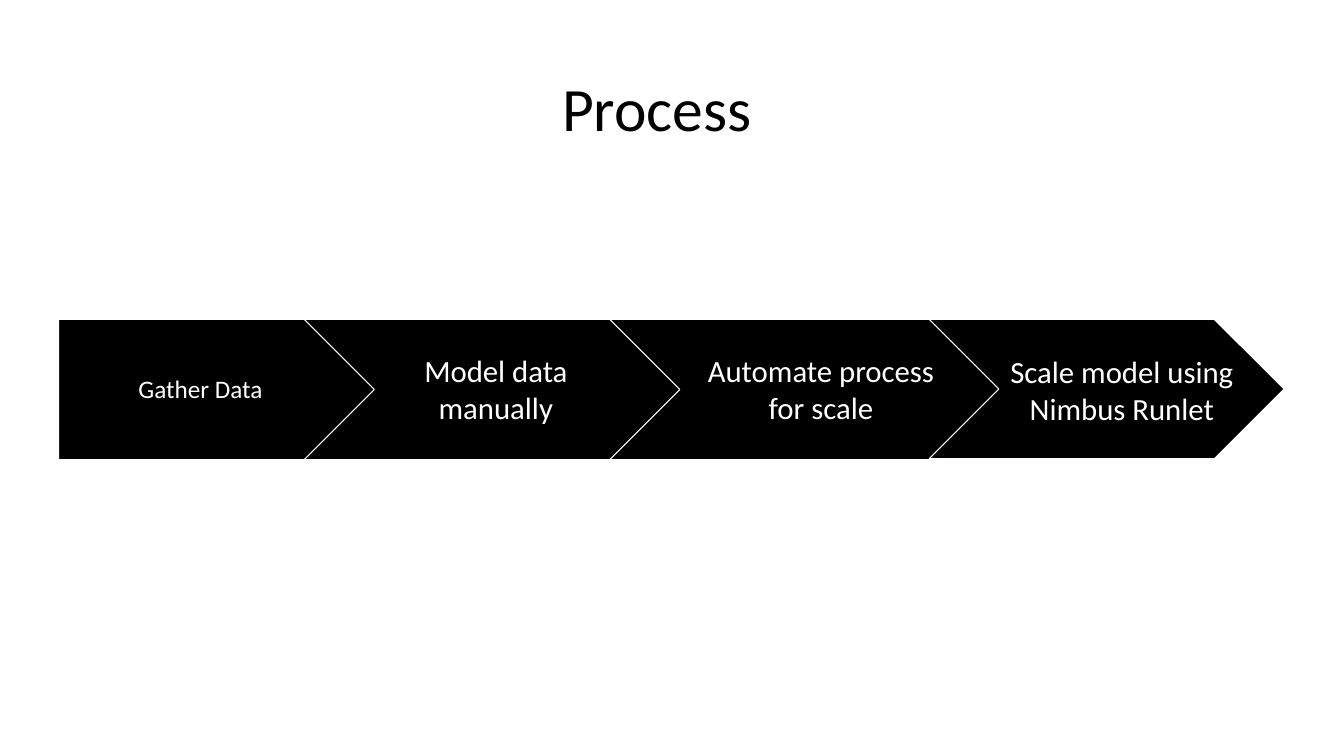
from pptx import Presentation
from pptx.dml.color import RGBColor
from pptx.enum import shapes, text
from pptx.util import Pt

FONT = "Calibri"
BLACK, WHITE = "000000", "FFFFFF"
TOP = 228.2
PLATE, CHEVRON = shapes.MSO_SHAPE.PENTAGON, shapes.MSO_SHAPE.CHEVRON

# Arrow kind, left, width, height
ARROWS = [
    (PLATE, 41.8, 233.3, 100.1),
    (CHEVRON, 217.4, 269.3, 100.1),
    (CHEVRON, 435.6, 283.7, 100.1),
    (CHEVRON, 663.8, 253.4, 99.4),
]

# Words, box (left, top, width, height), size, side and top insets
LABELS = [
    ("Gather Data", (69.8, 262.8, 146.9, 28.8), 18, (7.2, 3.6)),
    ("Model data manually", (277.9, 252.7, 152.6, 49.7), 22, (9.4, 9.4)),
    ("Automate process for scale", (494.6, 239, 183.6, 77), 22, (9.4, 9.4)),
    ("Scale model using Nimbus Runlet", (709.2, 253.4, 184.3, 49.7), 22, (9.4, 9.4)),
]


def color(code):
    return RGBColor.from_string(code)


def add_arrow(slide, kind, left, width, height):
    arrow = slide.shapes.add_shape(kind, Pt(left), Pt(TOP), Pt(width), Pt(height))
    arrow.adjustments[0] = 0.5
    arrow.shadow.inherit = False
    arrow.fill.solid()
    arrow.fill.fore_color.rgb = color(BLACK)
    arrow.line.color.rgb = color(WHITE)
    arrow.line.width = Pt(0.75)


def add_label(slide, words, box, size, inset=(7.2, 3.6), ink=WHITE, lead=1.0):
    frame = slide.shapes.add_textbox(*map(Pt, box)).text_frame
    frame.word_wrap = True
    frame.vertical_anchor = text.MSO_ANCHOR.MIDDLE
    frame.margin_left = frame.margin_right = Pt(inset[0])
    frame.margin_top = frame.margin_bottom = Pt(inset[1])
    para = frame.paragraphs[0]
    para.alignment = text.PP_ALIGN.CENTER
    para.line_spacing = lead
    run = para.add_run()
    run.text = words
    run.font.name = FONT
    run.font.size = Pt(size)
    run.font.color.rgb = color(ink)


def main():
    deck = Presentation()
    deck.slide_width, deck.slide_height = Pt(960), Pt(540)
    slide = deck.slides.add_slide(deck.slide_layouts[6])

    # Title
    add_label(slide, "Process", (55.4, 29.5, 828, 100.8), 44, ink=BLACK, lead=0.9)

    # Chain of arrows
    for arrow in ARROWS:
        add_arrow(slide, *arrow)

    # Step names
    for label in LABELS:
        add_label(slide, *label)

    deck.save("out.pptx")


if __name__ == "__main__":
    main()
